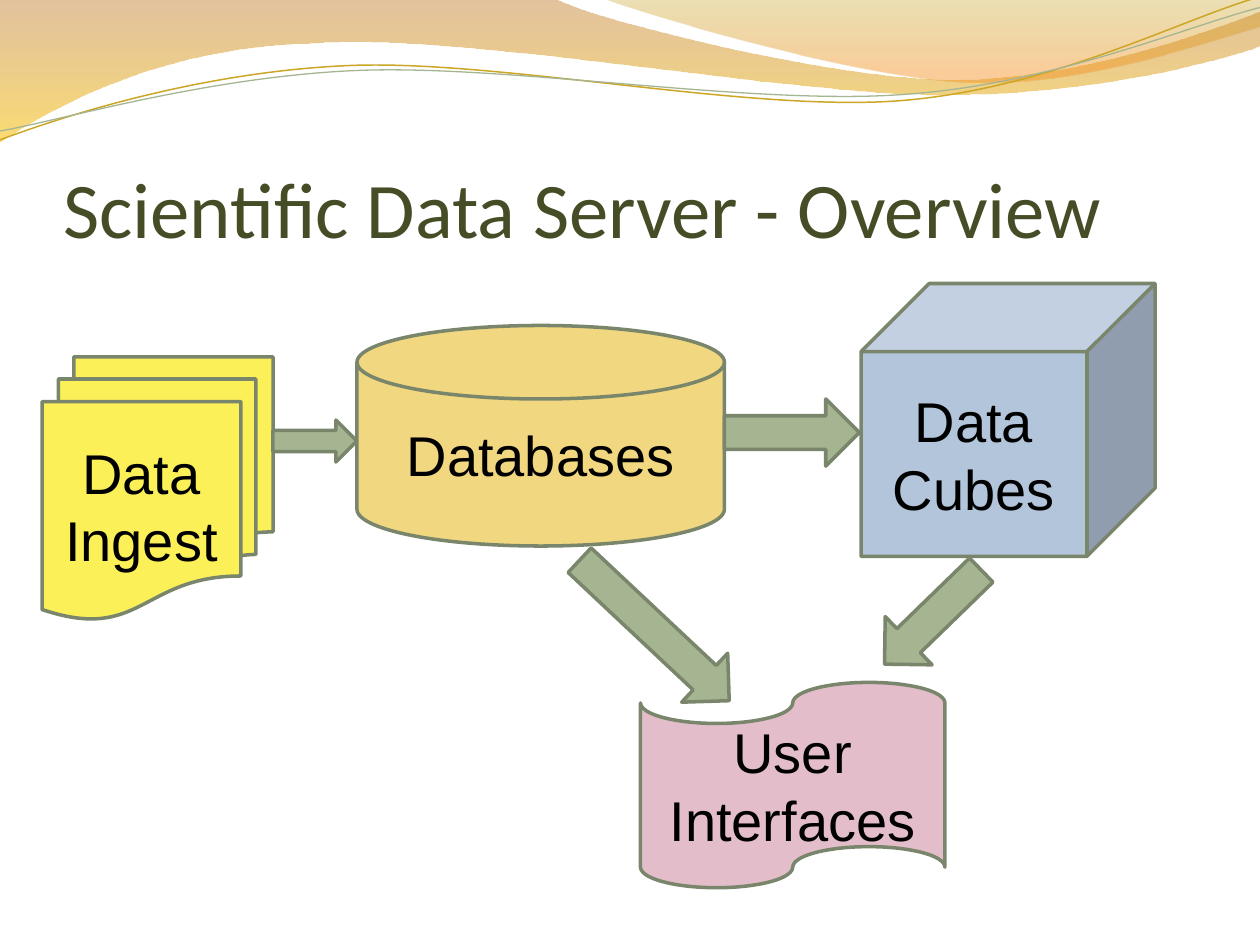
"""Build the overview slide of a scientific data server."""
from math import cos, radians, sin

from lxml import etree
from pptx import Presentation
from pptx.dml.color import RGBColor
from pptx.enum.shapes import MSO_SHAPE as Shape
from pptx.enum.text import MSO_ANCHOR as Anchor, PP_ALIGN as Align
from pptx.oxml.ns import qn
from pptx.util import Inches, Pt

BLACK = RGBColor(0x00, 0x00, 0x00)
OLIVE = RGBColor(0x44, 0x4D, 0x26)
OUTLINE = RGBColor(0x7A, 0x86, 0x6C)
SAGE = RGBColor(0xA5, 0xB5, 0x92)
GOLD = RGBColor(0xCC, 0xA6, 0x24)
SAND = RGBColor(0xF1, 0xD7, 0x7F)
BLUE = RGBColor(0xB3, 0xC5, 0xDA)
PINK = RGBColor(0xE3, 0xBE, 0xCA)
YELLOW = RGBColor(0xFC, 0xF0, 0x59)
BROWN = RGBColor(0xC0, 0x7A, 0x28)
AMBER = RGBColor(0xF7, 0xBF, 0x00)
MUSTARD = RGBColor(0xC0, 0x97, 0x09)
ORANGE = RGBColor(0xF5, 0x93, 0x20)

COLUMNS, ROWS = 120, 90
STRAND_TILT = -2.7

LEFT_WAVE = [
    [(0, 0)],
    [(4.4, -0.01)],
    [(4.76, 0.17), (6.64, 0.63), (7.58, 0.63)],
    [(8.53, 0.63), (9.58, 0.26), (10, 0.09)],
    [(10.01, 0.36)],
    [(9.83, 0.44), (8.7, 0.76), (7.46, 0.75)],
    [(6.22, 0.75), (3.82, 0.28), (2.57, 0.34)],
    [(1.29, 0.36), (0.46, 0.83), (-0.01, 1.13)],
    [(0, 0)],
]
RIGHT_WAVE = [
    [(4.79, -0.01)],
    [(5.09, 0.11), (6.82, 0.62), (7.69, 0.65)],
    [(8.56, 0.69), (9.61, 0.32), (10, 0.21)],
    [(10, 0)],
    [(4.79, -0.01)],
]
GOLD_STRAND = [
    [(0, 1.11)],
    [(0.48, 0.93), (1.58, 0.57), (2.77, 0.52)],
    [(3.95, 0.47), (5.93, 0.89), (7.13, 0.8)],
    [(8.33, 0.71), (9.38, 0.15), (9.98, -0.02)],
]
SAGE_STRAND = [
    [(0, 1.04)],
    [(0.47, 0.96), (1.64, 0.61), (2.83, 0.56)],
    [(4.03, 0.51), (5.97, 0.84), (7.17, 0.75)],
    [(8.36, 0.67), (9.41, 0.21), (10, 0.06)],
]


def write(frame, text, size=32, font="Arial", color=BLACK, align=Align.CENTER, anchor=Anchor.MIDDLE):
    """Put one formatted paragraph into a text frame."""
    frame.word_wrap = True
    frame.vertical_anchor = anchor
    paragraph = frame.paragraphs[0]
    paragraph.alignment = align
    run = paragraph.add_run()
    run.text = text
    run.font.size, run.font.name, run.font.color.rgb = Pt(size), font, color


def turn(segments, center, degrees):
    """Rotate the segments clockwise about a center."""
    (cx, cy), c, s = center, cos(radians(degrees)), sin(radians(degrees))
    return [[(cx + (x - cx) * c - (y - cy) * s, cy + (x - cx) * s + (y - cy) * c)
             for x, y in segment] for segment in segments]


class Board:
    """Hold the style and the current slide."""

    def __init__(self, deck):
        """Add a title-only slide and measure its grid."""
        self.slide = deck.slides.add_slide(deck.slide_layouts[5])
        self.column = deck.slide_width / COLUMNS
        self.row = deck.slide_height / ROWS

    def place(self, left, top, width, height):
        """Turn grid columns and rows into EMU."""
        return (int(left * self.column), int(top * self.row),
                int(width * self.column), int(height * self.row))

    def title(self, text, *cells):
        """Fill and move the title placeholder in front of the waves."""
        title = self.slide.shapes.title
        title.element.getparent().append(title.element)
        title.left, title.top, title.width, title.height = self.place(*cells)
        frame = title.text_frame
        frame.margin_left = frame.margin_right = frame.margin_bottom = 0
        write(frame, text, size=45, font="Calibri", color=OLIVE, align=Align.LEFT, anchor=Anchor.BOTTOM)

    def outline(self, segments, close):
        """Draw a freeform whose three-point segments are cubic curves."""
        start, *others = [(Inches(x), Inches(y)) for segment in segments for x, y in segment]
        builder = self.slide.shapes.build_freeform(*start, scale=1.0)
        builder.add_line_segments(others, close=close)
        form = builder.convert_to_shape()
        form.shadow.inherit = False
        sides = iter(list(form.element.spPr.iter(qn("a:lnTo"))))
        for segment in segments[1:]:
            first, *rest = [next(sides) for _ in segment]
            if rest:
                curve = etree.Element(qn("a:cubicBezTo"))
                first.addprevious(curve)
                for side in (first, *rest):
                    curve.append(side[0])
                    side.getparent().remove(side)
        return form

    def wave(self, segments, *stops):
        """Draw a band with a translucent top-to-bottom gradient."""
        band = self.outline(segments, close=True)
        band.line.fill.background()
        band.fill.gradient()
        band.fill.gradient_angle = 270
        for stop, (position, color, _) in zip(band.fill.gradient_stops, stops):
            stop.position, stop.color.rgb = position, color
        tints = list(band.element.spPr.iter(qn("a:srgbClr")))
        for tint, (_, _, opacity) in zip(tints, stops):
            etree.SubElement(tint, qn("a:alpha")).set("val", str(opacity * 1000))

    def strand(self, segments, center, color, width):
        """Draw a thin open curve tilted about its center."""
        curve = self.outline(turn(segments, center, -STRAND_TILT), close=False)
        curve.rotation = STRAND_TILT
        curve.fill.background()
        curve.line.color.rgb, curve.line.width = color, Pt(width)

    def node(self, kind, cells, fill=SAGE, text=None, rotation=0):
        """Draw an outlined preset shape, with its label if any."""
        node = self.slide.shapes.add_shape(kind, *self.place(*cells))
        node.shadow.inherit = False
        node.rotation = rotation
        node.fill.solid()
        node.fill.fore_color.rgb = fill
        node.line.color.rgb, node.line.width = OUTLINE, Pt(2)
        if text:
            write(node.text_frame, text)


def main():
    """Build and save the slide."""
    deck = Presentation()
    deck.slide_width, deck.slide_height = Inches(10), Inches(7.5)
    board = Board(deck)
    board.wave(LEFT_WAVE, (0, BROWN, 45), (1, AMBER, 55))
    board.wave(RIGHT_WAVE, (0, MUSTARD, 30), (0.8, ORANGE, 45))
    board.strand(GOLD_STRAND, (4.99, 0.58), GOLD, 0.85)
    board.strand(SAGE_STRAND, (5, 0.59), SAGE, 0.75)
    board.title("Scientific Data Server - Overview", 6, 9.25, 109, 15)
    board.node(Shape.FLOWCHART_MAGNETIC_DISK, (34, 31, 35, 21), SAND, "Databases")
    board.node(Shape.CUBE, (82, 27, 28, 26), BLUE, "Data Cubes")
    board.node(Shape.RIGHT_ARROW, (69, 38, 12.85, 6.4))
    board.node(Shape.FLOWCHART_PUNCHED_TAPE, (61, 65, 29, 19.55), PINK, "User Interfaces")
    board.node(Shape.RIGHT_ARROW, (52.55, 56.85, 19.55, 6.4), rotation=43.2)
    board.node(Shape.DOWN_ARROW, (85.65, 52.35, 6.4, 12.85), rotation=45.8)
    board.node(Shape.FLOWCHART_MULTIDOCUMENT, (4, 34, 22, 25), YELLOW, "Data Ingest")
    board.node(Shape.RIGHT_ARROW, (26, 40, 8, 4))
    deck.save("out.pptx")


if __name__ == "__main__":
    main()
